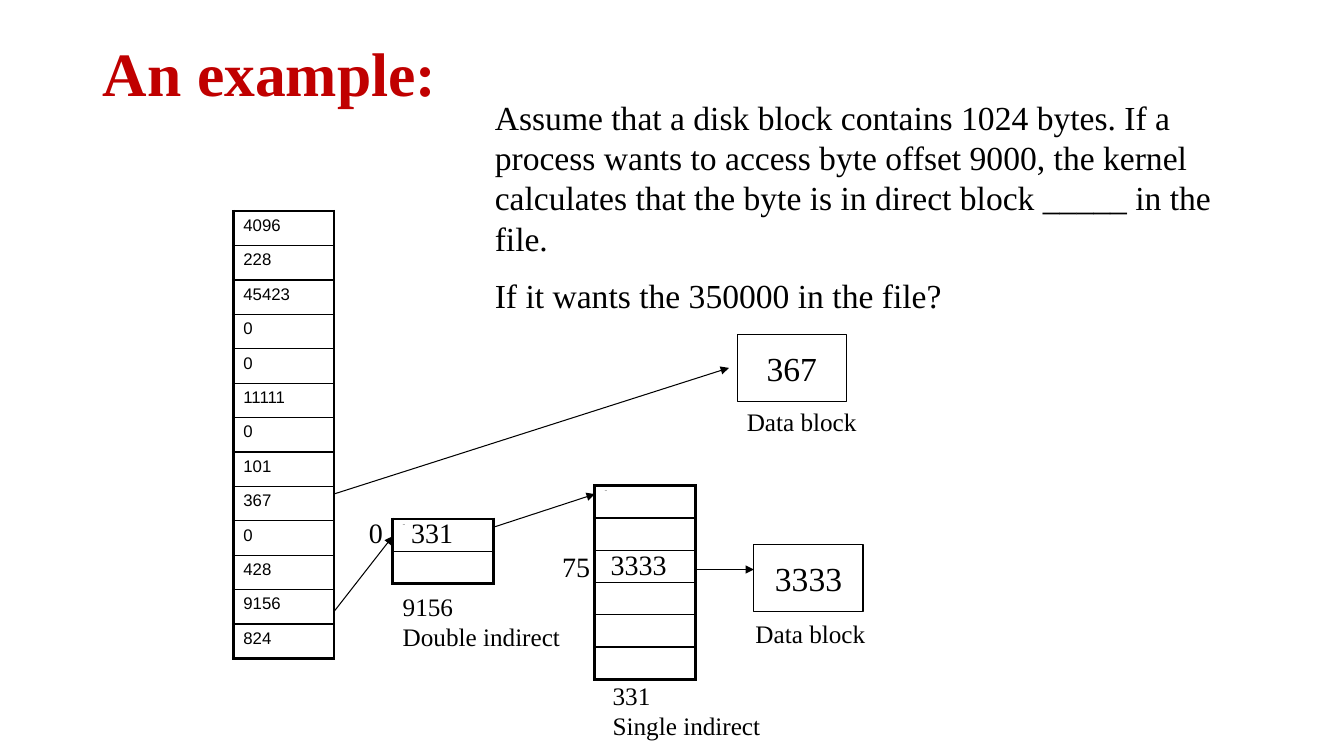
from lxml import etree
from pptx import Presentation
from pptx.dml.color import RGBColor
from pptx.enum.shapes import MSO_CONNECTOR as Connector, MSO_SHAPE as Shape
from pptx.enum.text import MSO_ANCHOR as Anchor, PP_ALIGN as Align
from pptx.oxml.ns import qn
from pptx.util import Cm, Pt

BLACK = RGBColor(0, 0, 0)
RED = RGBColor(0xC0, 0, 0)
SERIF, SANS = "Times New Roman", "Arial"
THICK, THIN = Pt(2.25), Pt(1)

# Content (lengths in cm)
TITLE = "An example:"
QUESTION = [
    "Assume that a disk block contains 1024 bytes. If a process wants to access "
    "byte offset 9000, the kernel calculates that the byte is in direct block "
    "_____ in the file.",
    "If it wants the 350000 in the file?",
]
INODE = ["4096", "228", "45423", "0", "0", "11111", "0", "101", "367", "0",
         "428", "9156", "824"]
# left, top, height, text size, cell texts
BLOCK_TABLES = [
    (5.88, 5.32, 11.28, 12, INODE),
    (9.9, 13.08, 1.63, 1, ["331", ""]),
    (14.99, 12.24, 4.88, 1, ["331"] + [""] * 5),
]
# left, top, text
DATA_BLOCKS = [(18.58, 8.43, "367"), (19, 13.72, "3333")]
# left, top, width, height, size, paragraphs
TEXTS = [
    (12.22, 2.31, 19.96, 5.89, 24, QUESTION),
    (18.57, 10.11, 5.92, 1.02, 18, ["Data block"]),
    (18.79, 15.45, 5.92, 1.02, 18, ["Data block"]),
    (9.9, 14.78, 4.65, 1.78, 18, ["9156\vDouble indirect"]),
    (15.19, 17.02, 4.65, 1.78, 18, ["331\vSingle indirect"]),
    (10.11, 12.87, 2.16, 1.09, 20, ["331"]),
    (15.14, 13.67, 2.16, 1.09, 20, ["3333"]),
    (9.05, 12.87, 2.16, 1.09, 20, ["0"]),
    (13.92, 13.72, 2.16, 1.09, 20, ["75"]),
]
# from x, y, to x, y
ARROWS = [
    (8.41, 12.45, 18.37, 9.27),
    (8.41, 15.42, 9.9, 13.51),
    (12.45, 13.28, 14.99, 12.45),
    (17.53, 14.35, 19, 14.35),
]


def set_font(paragraph, name, size, color=BLACK, bold=False):
    font = paragraph.font
    font.name, font.size, font.bold = name, Pt(size), bold
    font.color.rgb = color


def set_borders(cell, top, bottom):
    properties = cell._tc.get_or_add_tcPr()
    sides = [("a:lnL", THICK), ("a:lnR", THICK), ("a:lnT", top), ("a:lnB", bottom)]
    for index, (tag, width) in enumerate(sides):
        line = etree.Element(qn(tag), w=str(width))
        fill = etree.SubElement(line, qn("a:solidFill"))
        etree.SubElement(fill, qn("a:srgbClr"), val=str(BLACK))
        properties.insert(index, line)


def add_block_table(slide, left, top, height, size, texts):
    count = len(texts)
    table = slide.shapes.add_table(count, 1, Cm(left), Cm(top), Cm(2.54),
                                   Cm(height)).table
    table.first_row = table.horz_banding = False
    for row, text in enumerate(texts):
        table.rows[row].height = Cm(height / count)
        cell = table.cell(row, 0)
        cell.fill.background()
        set_borders(cell, THIN if row else THICK,
                    THIN if row < count - 1 else THICK)
        if not text:
            cell.margin_top = cell.margin_bottom = 0
        cell.text = text
        set_font(cell.text_frame.paragraphs[0], SANS, size)


def add_data_block(slide, left, top, text):
    shape = slide.shapes.add_shape(Shape.RECTANGLE, Cm(left), Cm(top),
                                   Cm(2.75), Cm(1.7))
    shape.shadow.inherit = False
    shape.fill.background()
    shape.line.color.rgb = BLACK
    shape.line.width = Pt(0.75)
    frame = shape.text_frame
    frame.word_wrap = False
    frame.vertical_anchor = Anchor.MIDDLE
    frame.text = text
    frame.paragraphs[0].alignment = Align.CENTER
    set_font(frame.paragraphs[0], SERIF, 24)


def add_text(slide, left, top, width, height, size, texts):
    frame = slide.shapes.add_textbox(Cm(left), Cm(top), Cm(width),
                                     Cm(height)).text_frame
    frame.word_wrap = True
    frame.text = "\n".join(texts)
    for index, paragraph in enumerate(frame.paragraphs):
        if index:
            paragraph.space_before = Pt(size / 2)
        set_font(paragraph, SERIF, size)


def add_arrow(slide, *ends):
    arrow = slide.shapes.add_connector(Connector.STRAIGHT, *map(Cm, ends))
    arrow.line.color.rgb = BLACK
    arrow.line.width = Pt(0.75)
    etree.SubElement(arrow.line._get_or_add_ln(), qn("a:tailEnd"), type="triangle")
    etree.SubElement(arrow._element.spPr, qn("a:effectLst"))


def main():
    presentation = Presentation()
    presentation.slide_width, presentation.slide_height = Cm(33.87), Cm(19.05)
    slide = presentation.slides.add_slide(presentation.slide_layouts[5])

    # Title
    title = slide.shapes.title
    title.left, title.top, title.width, title.height = map(
        Cm, (2.34, 1.02, 29.21, 3.68))
    frame = title.text_frame
    frame.text = TITLE
    frame.vertical_anchor = Anchor.TOP
    frame.margin_top = Cm(0.06)
    paragraph = frame.paragraphs[0]
    paragraph.alignment = Align.LEFT
    paragraph.line_spacing = 0.9
    set_font(paragraph, SERIF, 44, RED, True)

    # Block diagram and its labels
    for block_table in BLOCK_TABLES:
        add_block_table(slide, *block_table)
    for data_block in DATA_BLOCKS:
        add_data_block(slide, *data_block)
    for arrow in ARROWS:
        add_arrow(slide, *arrow)
    for text in TEXTS:
        add_text(slide, *text)

    presentation.save("out.pptx")


if __name__ == "__main__":
    main()
